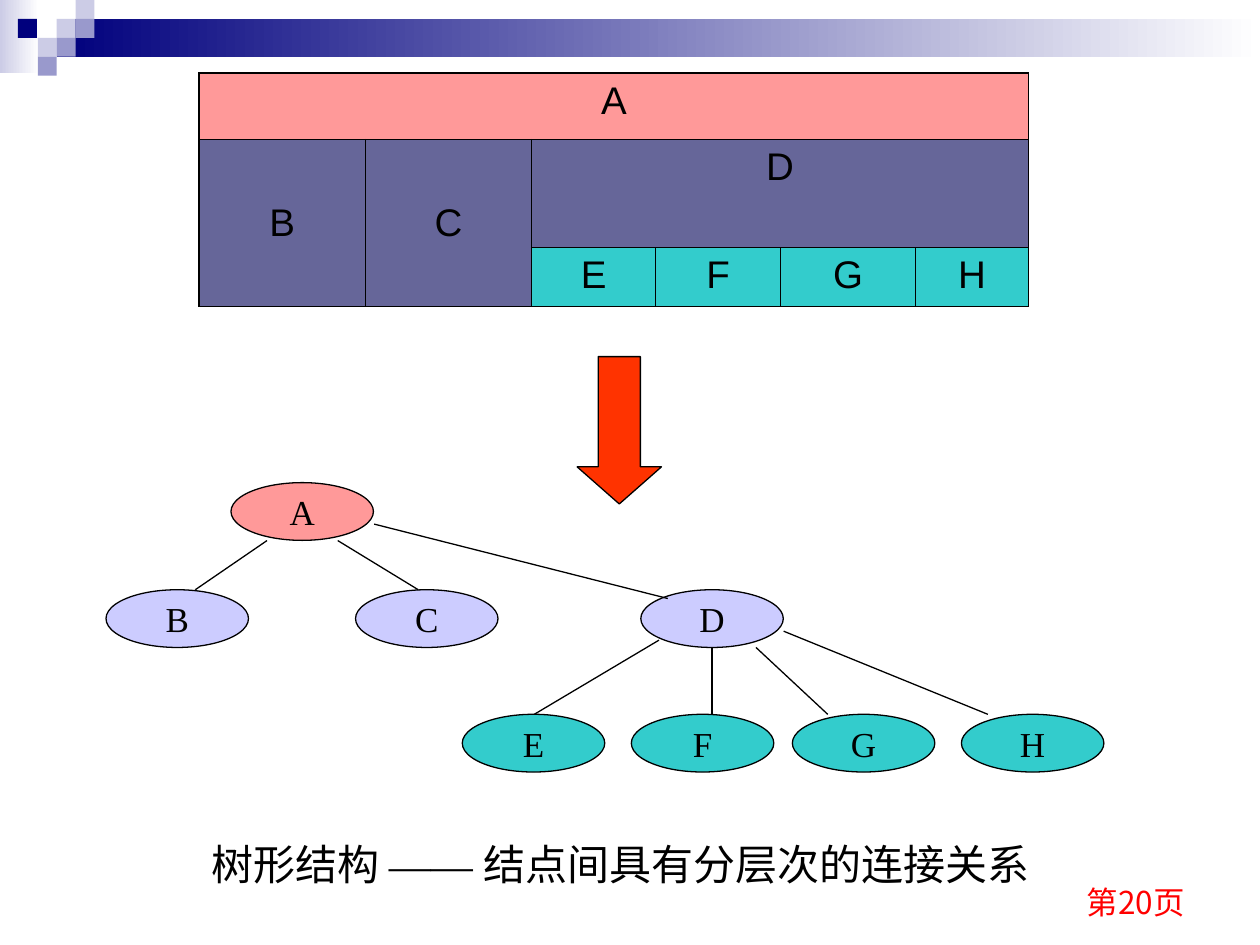
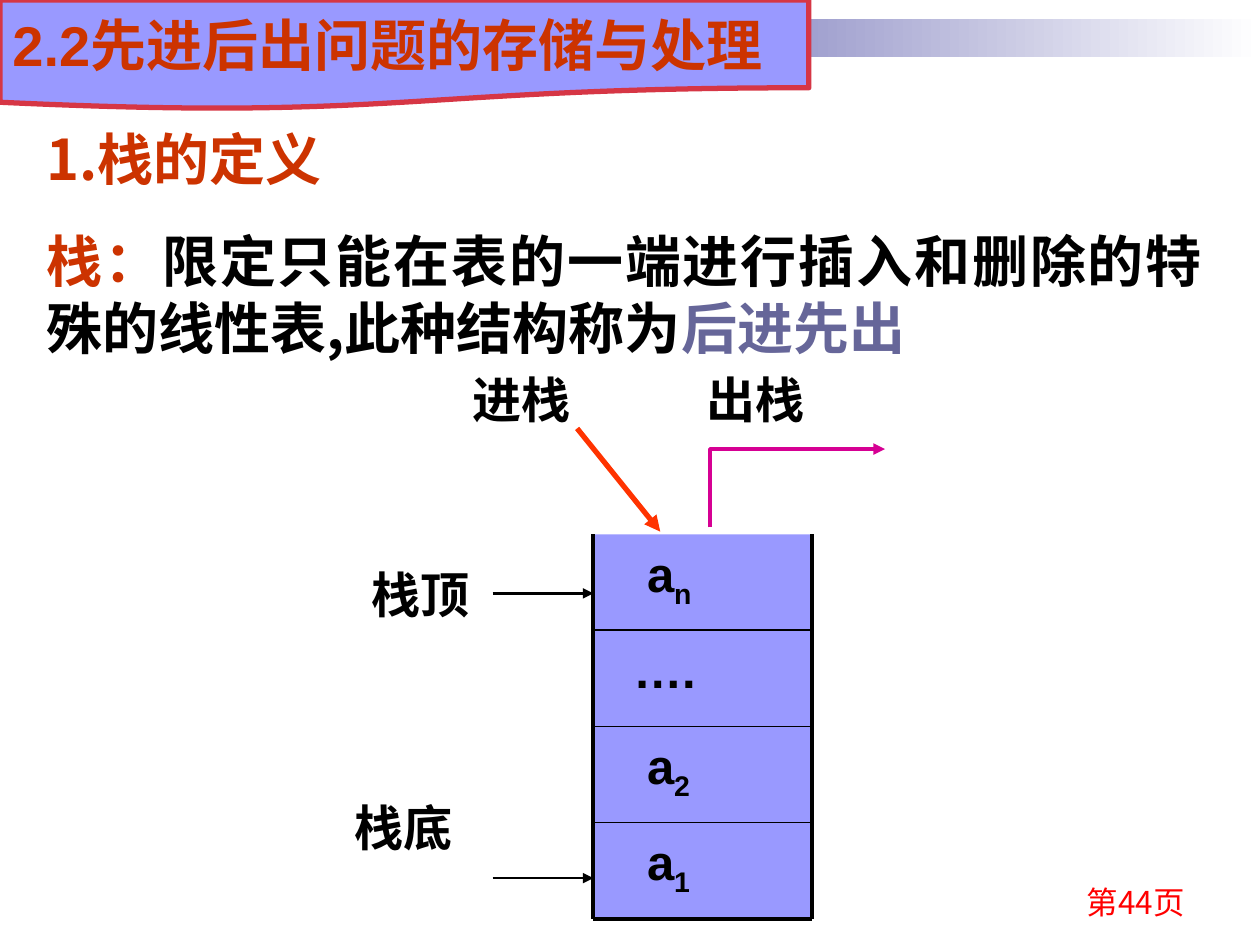
from dataclasses import dataclass
from typing import Any, Optional

from lxml import etree
from pptx import Presentation
from pptx.dml.color import RGBColor
from pptx.enum import shapes, text
from pptx.oxml import ns
from pptx.util import Pt

BLACK, RED, RUST = "000000", "FF0000", "CC3300"
NAVY, PALE, LILAC, WHITE = "00007D", "CCCCE6", "9999CC", "FFFFFF"
PINK, SLATE, TEAL, LAVENDER = "FF9999", "666699", "33CCCC", "CCCCFF"
ORANGE, VIOLET, CRIMSON, MAGENTA = "FF3300", "9999FF", "D63645", "D60093"
CHINESE, SANS, SERIF, LABEL = "Noto Sans CJK SC", "Arial", "Times New Roman", "Lato"
ALIGN, ANCHOR, SHAPE = text.PP_ALIGN, text.MSO_ANCHOR, shapes.MSO_SHAPE
SQUARE = 10.8


@dataclass(frozen=True)
class Box:
    left: float
    top: float
    width: float
    height: float

    def lengths(self) -> list[Pt]:
        return [Pt(v) for v in (self.left, self.top, self.width, self.height)]


@dataclass(frozen=True)
class Style:
    font: str
    size: float
    color: str = BLACK
    bold: bool = False
    align: Any = ALIGN.LEFT


@dataclass(frozen=True)
class Piece:
    """A run, with only what differs from its paragraph."""
    text: str
    color: Optional[str] = None
    font: Optional[str] = None
    subscript: bool = False


@dataclass(frozen=True)
class Node:
    name: str
    left: float
    level: int


@dataclass(frozen=True)
class Line:
    x1: float
    y1: float
    x2: float
    y2: float
    width: float = 0.75
    color: str = BLACK
    arrow: bool = False


@dataclass(frozen=True)
class Cell:
    name: str
    row: int
    column: int
    color: str
    rows: int = 1
    columns: int = 1


def rgb(color: str) -> RGBColor:
    return RGBColor.from_string(color)


def set_typeface(font: Any, name: str) -> None:
    """Use one typeface for Latin and East Asian characters."""
    font.name = name
    etree.SubElement(font._rPr, ns.qn("a:ea")).set("typeface", name)


def write_paragraph(paragraph: Any, pieces: list[Piece], style: Style) -> None:
    paragraph.alignment = style.align
    if style.font == CHINESE:
        paragraph.line_spacing = Pt(1.2 * style.size)
    font = paragraph.font
    font.size, font.bold = Pt(style.size), style.bold
    font.color.rgb = rgb(style.color)
    set_typeface(font, style.font)
    for piece in pieces:
        run = paragraph.add_run()
        run.text = piece.text
        if piece.color:
            run.font.color.rgb = rgb(piece.color)
        if piece.font:
            set_typeface(run.font, piece.font)
        if piece.subscript:
            run.font._rPr.set("baseline", "-25000")


def add_text(slide: Any, box: Box, paragraphs: list[list[Piece]], style: Style,
             anchor: Any = ANCHOR.TOP, gap: float = 0) -> None:
    frame = slide.shapes.add_textbox(*box.lengths()).text_frame
    frame.word_wrap, frame.vertical_anchor = True, anchor
    for index, pieces in enumerate(paragraphs):
        paragraph = frame.add_paragraph() if index else frame.paragraphs[0]
        if index:
            paragraph.space_before = Pt(gap)
        write_paragraph(paragraph, pieces, style)


def add_shape(slide: Any, kind: Any, box: Box, fill: str,
              line: Optional[str] = None, width: float = 0.75) -> Any:
    shape = slide.shapes.add_shape(kind, *box.lengths())
    shape.shadow.inherit = False
    shape.fill.solid()
    shape.fill.fore_color.rgb = rgb(fill)
    if line:
        shape.line.color.rgb = rgb(line)
        shape.line.width = Pt(width)
    else:
        shape.line.fill.background()
    return shape


def add_fading_band(slide: Any, box: Box, color: str) -> None:
    fill = add_shape(slide, SHAPE.RECTANGLE, box, color).fill
    fill.gradient()
    fill.gradient_angle = 0
    for stop, stop_color in zip(fill.gradient_stops, (color, WHITE)):
        stop.color.rgb = rgb(stop_color)


def add_line(slide: Any, line: Line, kind: Any = shapes.MSO_CONNECTOR.STRAIGHT) -> Any:
    ends = [Pt(v) for v in (line.x1, line.y1, line.x2, line.y2)]
    connector = slide.shapes.add_connector(kind, *ends)
    connector.line.color.rgb = rgb(line.color)
    connector.line.width = Pt(line.width)
    properties = connector._element.spPr
    if line.arrow:
        outline = properties.find(ns.qn("a:ln"))
        etree.SubElement(outline, ns.qn("a:tailEnd")).set("type", "triangle")
    etree.SubElement(properties, ns.qn("a:effectLst"))
    return connector


def add_slide(presentation: Any, page: int) -> Any:
    """Add a blank slide with the header band, its squares and the page number."""
    slide = presentation.slides.add_slide(presentation.slide_layouts[6])
    add_fading_band(slide, Box(0, 0, 22.3, 41.8), PALE)
    add_fading_band(slide, Box(32.4, SQUARE, 687.6, 2 * SQUARE), NAVY)
    squares = [(3, 1, PALE), (4, 0, PALE), (4, 1, LILAC), (2, 2, PALE),
               (0.95, 1, NAVY), (3, 2, LILAC), (2, 3, LILAC)]
    for column, row, color in squares:
        box = Box(column * SQUARE, row * SQUARE, SQUARE, SQUARE)
        add_shape(slide, SHAPE.RECTANGLE, box, color)
    add_text(slide, Box(516, 493.5, 168, 36), [[Piece(f"第{page}页")]],
             Style(CHINESE, 18, RED, align=ALIGN.RIGHT), ANCHOR.BOTTOM)
    return slide


def set_borders(cell: Any, widths: dict[str, float]) -> None:
    properties = cell._tc.get_or_add_tcPr()
    for side, width in widths.items():
        border = etree.SubElement(properties, ns.qn(f"a:ln{side}"), w=str(int(Pt(width))))
        fill = etree.SubElement(border, ns.qn("a:solidFill"))
        etree.SubElement(fill, ns.qn("a:srgbClr"), val=BLACK)


def add_nested_table(slide: Any) -> None:
    column_widths = [95, 95, 71, 71.3, 77.2, 64.5]
    row_heights = [37.8, 62, 33.5]
    box = Box(113.8, 41.8, sum(column_widths), sum(row_heights))
    table = slide.shapes.add_table(3, 6, *box.lengths()).table
    table.first_row = table.horz_banding = False
    for column, width in zip(table.columns, column_widths):
        column.width = Pt(width)
    for row, height in zip(table.rows, row_heights):
        row.height = Pt(height)
    cells = [Cell("A", 0, 0, PINK, columns=6), Cell("B", 1, 0, SLATE, rows=2),
             Cell("C", 1, 1, SLATE, rows=2), Cell("D", 1, 2, SLATE, columns=4)]
    cells += [Cell(name, 2, 2 + i, TEAL) for i, name in enumerate("EFGH")]
    for item in cells:
        cell = table.cell(item.row, item.column)
        last_row, last_column = item.row + item.rows, item.column + item.columns
        if item.rows * item.columns > 1:
            cell.merge(table.cell(last_row - 1, last_column - 1))
        outer = {"L": item.column == 0, "R": last_column == 6,
                 "T": item.row == 0, "B": last_row == 3}
        set_borders(cell, {side: 1.08 if edge else 0.45 for side, edge in outer.items()})
        cell.fill.solid()
        cell.fill.fore_color.rgb = rgb(item.color)
        cell.vertical_anchor = ANCHOR.MIDDLE if item.rows > 1 else ANCHOR.TOP
        write_paragraph(cell.text_frame.paragraphs[0], [Piece(item.name)],
                        Style(SANS, 22, align=ALIGN.CENTER))


def add_tree(slide: Any) -> None:
    levels = [(275.8, PINK), (337, LAVENDER), (408.2, TEAL)]
    nodes = [Node("A", 132, 0), Node("B", 60.6, 1), Node("C", 203.2, 1),
             Node("D", 366.2, 1), Node("E", 264.2, 2), Node("F", 360.8, 2),
             Node("G", 452.8, 2), Node("H", 549.4, 2)]
    for node in nodes:
        top, color = levels[node.level]
        oval = add_shape(slide, SHAPE.OVAL, Box(node.left, top, 81.4, 33), color, BLACK)
        oval.text_frame.word_wrap = False
        write_paragraph(oval.text_frame.paragraphs[0], [Piece(node.name)],
                        Style(SERIF, 20, align=ALIGN.CENTER))
    branches = [Line(152.6, 308.9, 111.6, 337), Line(193, 308.9, 239, 337),
                Line(213.8, 299.5, 381.6, 342), Line(376.6, 365.8, 305.3, 408.2),
                Line(406.8, 370, 406.8, 408.2), Line(432, 370, 473, 408.2),
                Line(447.8, 360.7, 564.5, 408.2)]
    for branch in branches:
        add_line(slide, branch)


def build_tree_slide(presentation: Any) -> None:
    slide = add_slide(presentation, 20)
    add_nested_table(slide)
    arrow = add_shape(slide, SHAPE.DOWN_ARROW, Box(329.8, 203.8, 48.2, 84.2), ORANGE, BLACK)
    arrow.adjustments[0], arrow.adjustments[1] = 0.5, 0.44
    caption = [Piece("树形结构 "), Piece("—— ", font=SERIF),
               Piece("结点间具有分层次的连接关系")]
    add_text(slide, Box(113.8, 475.5, 519, 36), [caption], Style(CHINESE, 24))
    add_tree(slide)


def add_stack(slide: Any) -> None:
    left, top, width, height = 339.1, 305.3, 124.8, 54.9
    right, bottom = left + width, top + 4 * height
    entries = [("a", "n"), ("….", ""), ("a", "2"), ("a", "1")]
    for index, (name, subscript) in enumerate(entries):
        box = Box(left, top + index * height, width, height)
        frame = add_shape(slide, SHAPE.RECTANGLE, box, VIOLET).text_frame
        frame.vertical_anchor = ANCHOR.TOP
        frame.margin_left = Pt(30.6 if subscript else 22.8)
        frame.margin_top = Pt(5)
        pieces = [Piece(name)]
        if subscript:
            pieces.append(Piece(subscript, subscript=True))
        write_paragraph(frame.paragraphs[0], pieces, Style(SANS, 28, bold=True))
    for index in range(1, 4):
        y = top + index * height
        add_line(slide, Line(left, y, right, y, 1))
    add_line(slide, Line(left, bottom, right, bottom, 2.25))
    for x in (left, right):
        add_line(slide, Line(x, top, x, bottom, 2.25))
    for y in (339.1, 501.8):
        add_line(slide, Line(281.5, y, left, y, 1.5, arrow=True))


def add_pop_arrow(slide: Any) -> None:
    """Draw an arrow up and then right: a two-part elbow turned by 90 degrees."""
    elbow = add_line(slide, Line(478.1, 329, 433.4, 229, 2.25, MAGENTA, True),
                     shapes.MSO_CONNECTOR.ELBOW)
    properties = elbow._element.spPr
    properties.find(ns.qn("a:xfrm")).set("rot", "5400000")
    properties.find(ns.qn("a:prstGeom")).set("prst", "bentConnector2")


def build_stack_slide(presentation: Any) -> None:
    slide = add_slide(presentation, 44)
    definition = [Piece("栈：", RUST),
                  Piece("限定只能在表的一端进行插入和删除的特殊的线性表,此种结构称为"),
                  Piece("后进先出", SLATE)]
    add_text(slide, Box(19.4, 67.5, 674.8, 142.6), [[Piece("1.栈的定义", RUST)], definition],
             Style(CHINESE, 32, bold=True, align=ALIGN.JUSTIFY), gap=20)
    title = add_shape(slide, SHAPE.FLOWCHART_DOCUMENT, Box(0, 0, 462.2, 62.6),
                      VIOLET, CRIMSON, 3)
    title.text_frame.word_wrap = True
    write_paragraph(title.text_frame.paragraphs[0], [Piece("2.2先进后出问题的存储与处理")],
                    Style(SANS, 32, RUST, bold=True))
    add_stack(slide)
    labels = [("进栈", 262.8, 207.4), ("出栈", 396.7, 207.4),
              ("栈顶", 205.2, 319), ("栈底", 195.8, 452.2)]
    for label, left, top in labels:
        add_text(slide, Box(left, top, 130, 41), [[Piece(label)]], Style(LABEL, 28, bold=True))
    add_pop_arrow(slide)
    add_line(slide, Line(329.8, 244.8, 377.3, 303.8, 3, ORANGE, True))


def main() -> None:
    presentation = Presentation()
    presentation.slide_width, presentation.slide_height = Pt(720), Pt(540)
    build_tree_slide(presentation)
    build_stack_slide(presentation)
    presentation.save("out.pptx")


if __name__ == "__main__":
    main()
